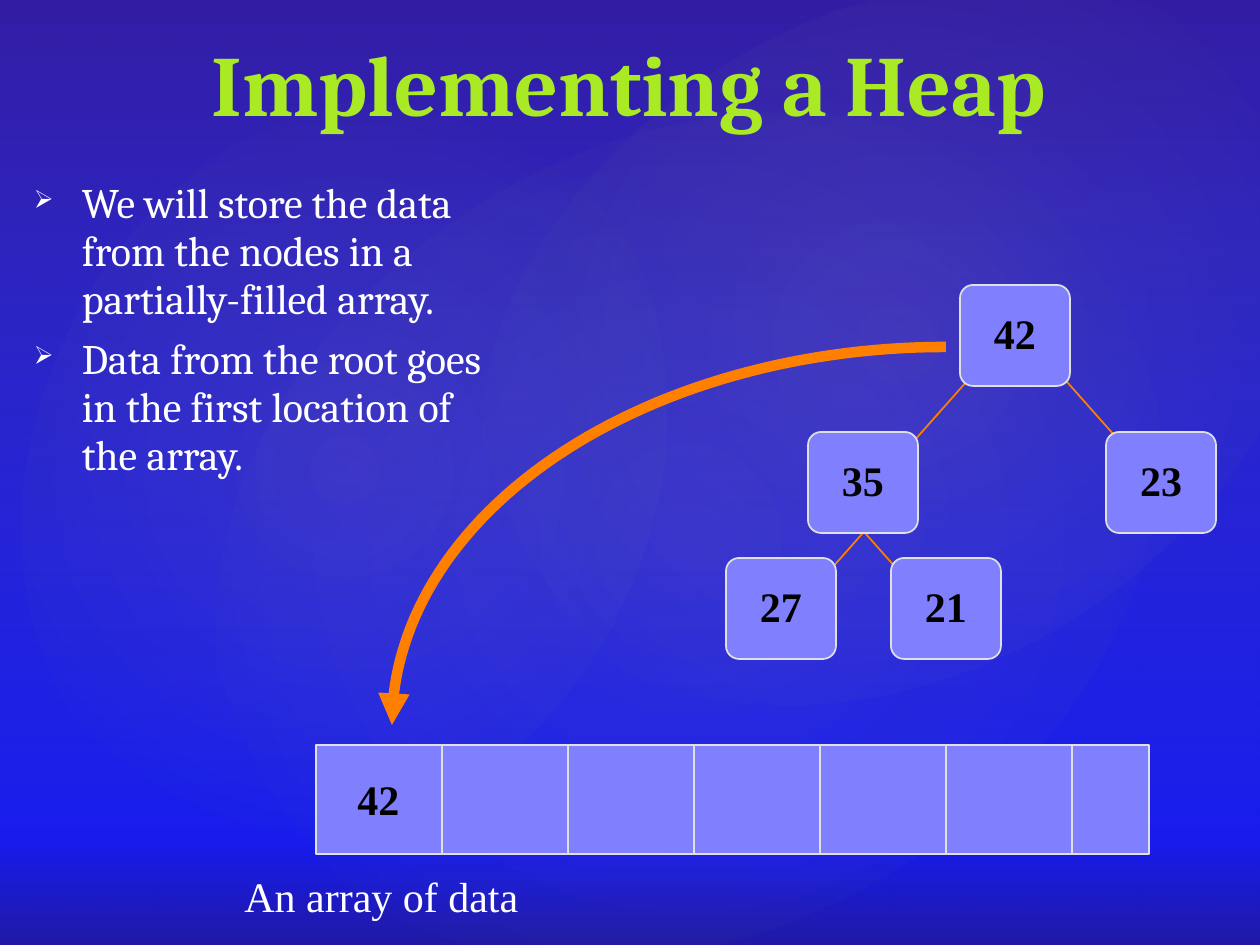
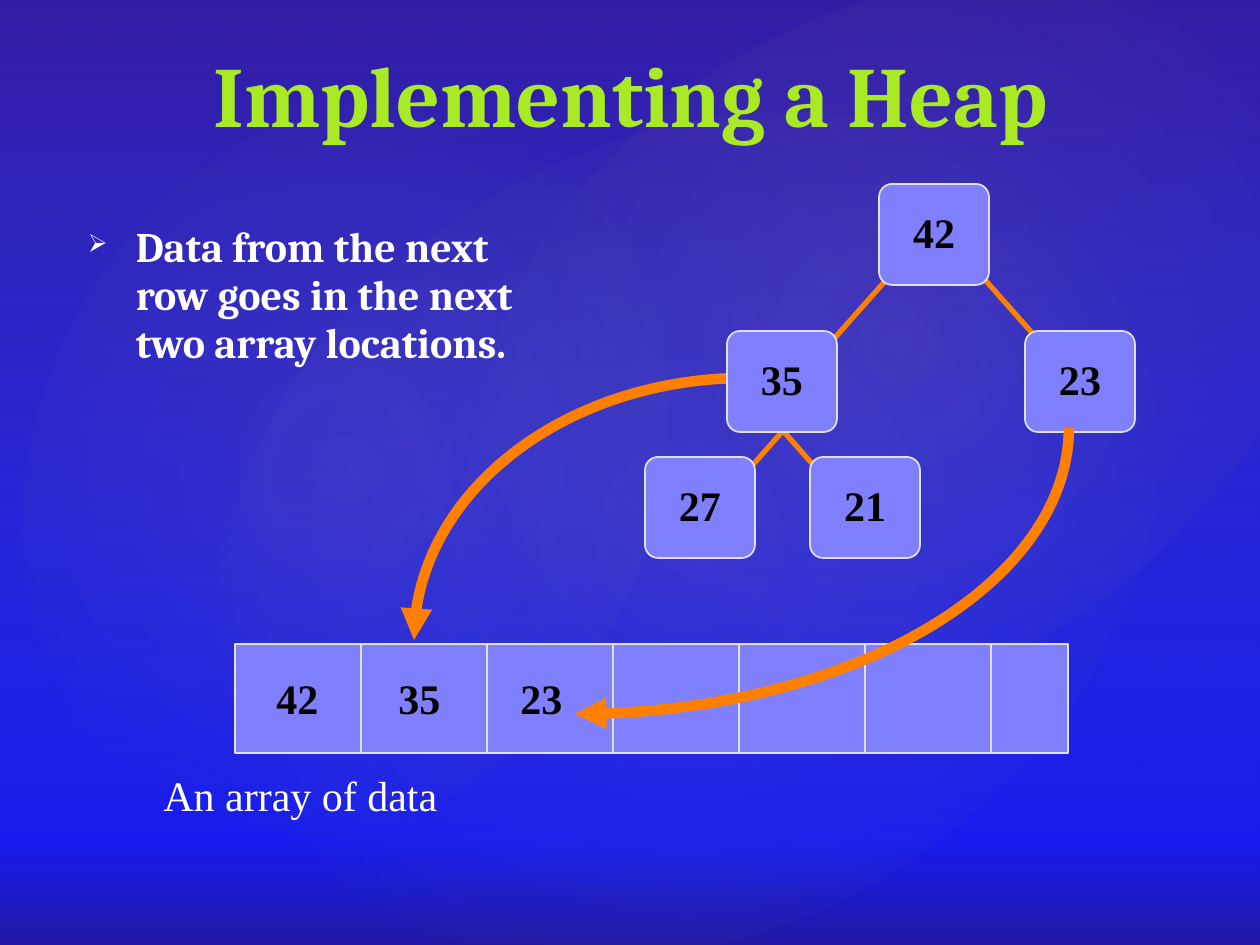
import math

from lxml import etree
from pptx import Presentation
from pptx import util as u
from pptx.dml.color import RGBColor
from pptx.enum import shapes, text
from pptx.oxml.ns import qn

PX = 914400 / 126  # EMU per pixel
BLUE, NAVY = RGBColor(0x00, 0x00, 0xFF), RGBColor(0x0E, 0x02, 0xAA)
BROWN, PALE_LIME = RGBColor(0x8F, 0x52, 0x01), RGBColor(0xCA, 0xF2, 0x78)
PEACH = RGBColor(0xFE, 0xC6, 0x7A)
LIME, WHITE, BLACK = RGBColor(0xAA, 0xEA, 0x25), RGBColor(255, 255, 255), RGBColor(0, 0, 0)
LILAC, GREY, ORANGE = RGBColor(0x80, 0x80, 0xFF), RGBColor(0xE0, 0xE0, 0xE0), RGBColor(0xFF, 0x80, 0x00)
HEAD_FONT, DATA_FONT = "Cambria", "Times New Roman"

# The heap diagram, relative to its own left top corner
NODE_W, NODE_H = 110, 101
NODES = {"42": (728, 0), "35": (576, 147), "23": (874, 147), "27": (494, 273), "21": (659, 273)}
EDGE_DX, EDGE_DY = 78, 88
# parent, start inside the parent, direction
EDGES = [("42", 8, 95, -1), ("42", 100, 89, 1), ("35", 78, 75, -1), ("35", 34, 75, 1)]
ARRAY_X, ARRAY_Y, ARRAY_W, ARRAY_H, CELL = 84, 460, 833, 109, 126


def px(*lengths):
    return [u.Emu(round(v * PX)) for v in lengths]


def sub(parent, tag, **attrs):
    return etree.SubElement(parent, qn(tag), {k: str(v) for k, v in attrs.items()})


def set_gradient(owner, fill, stops, circle=False):
    """Stops are (position, colour, opacity), the last two in percent terms."""
    fill.gradient()
    grad = owner.element.find(".//" + qn("a:gradFill"))
    for child in list(grad):
        grad.remove(child)
    gs_list = sub(grad, "a:gsLst")
    for pos, color, opacity in stops:
        gs = sub(gs_list, "a:gs", pos=pos * 1000)
        sub(sub(gs, "a:srgbClr", val=color), "a:alpha", val=opacity * 1000)
    if circle:
        path = sub(grad, "a:path", path="circle")
        sub(path, "a:fillToRect", l=50000, t=50000, r=50000, b=50000)
    else:
        sub(grad, "a:lin", ang=5400000, scaled=0)


def add_box(slide, kind, x, y, w, h):
    sp = slide.shapes.add_shape(kind, *px(x, y, w, h))
    sp.shadow.inherit = False
    return sp


def style_block(sp):
    sp.fill.solid()
    sp.fill.fore_color.rgb = LILAC
    sp.line.color.rgb = GREY
    sp.line.width = u.Pt(1)


def add_line(slide, x1, y1, x2, y2, color, width):
    c = slide.shapes.add_connector(shapes.MSO_CONNECTOR.STRAIGHT, *px(x1, y1, x2, y2))
    c.line.color.rgb = color
    c.line.width = u.Pt(width)
    sub(c.element.spPr, "a:effectLst")


def write(tf, paragraphs, font, size, color, bold=False, align=text.PP_ALIGN.LEFT):
    tf.text = "\n".join(paragraphs)
    for p in tf.paragraphs:
        p.alignment = align
        p.line_spacing = 0.95
        for r in p.runs:
            r.font.name, r.font.size, r.font.bold = font, u.Pt(size), bold
            r.font.color.rgb = color


def add_text(slide, box, paragraphs, font, size, color, wrap=True,
             anchor=text.MSO_ANCHOR.TOP, **style):
    tf = slide.shapes.add_textbox(*px(*box)).text_frame
    tf.word_wrap = wrap
    tf.vertical_anchor = anchor
    write(tf, paragraphs, font, size, color, **style)
    return tf


def add_glow(slide):
    # Full-slide tint, then three faint discs
    tint = add_box(slide, shapes.MSO_SHAPE.RECTANGLE, 0, 0, 1260, 945)
    set_gradient(tint, tint.fill, [(0, BROWN, 36), (100, PALE_LIME, 10)])
    tint.line.fill.background()
    for x, y, w, h, angle, opacity in [(189, 144, 998, 786, 328.7, 7),
                                       (-38, 161, 764, 617, 294.3, 8),
                                       (451, 16, 893, 655, 328.7, 8)]:
        disc = add_box(slide, shapes.MSO_SHAPE.OVAL, x, y, w, h)
        disc.rotation = angle
        set_gradient(disc, disc.fill, [(0, PEACH, opacity), (58, PALE_LIME, 0)], circle=True)
        disc.line.fill.background()


def add_title(slide, box):
    add_text(slide, box, ["Implementing a Heap"], HEAD_FONT, 49, LIME, bold=True,
             anchor=text.MSO_ANCHOR.BOTTOM, align=text.PP_ALIGN.CENTER)


def add_bullets(slide, box, items, bold=False):
    tf = add_text(slide, box, items, HEAD_FONT, 24, WHITE, bold=bold,
                  anchor=text.MSO_ANCHOR.MIDDLE)
    for p in tf.paragraphs:
        p.space_before = u.Pt(7)
        pPr = p._p.get_or_add_pPr()
        pPr.set("marL", str(u.Inches(0.4)))
        pPr.set("indent", str(-u.Inches(0.38)))
        sub(pPr, "a:buSzPct", val=60000)
        sub(pPr, "a:buChar", char="➢")


def add_tree(slide, x, y, edge_width):
    for parent, dx, dy, side in EDGES:
        x1, y1 = x + NODES[parent][0] + dx, y + NODES[parent][1] + dy
        add_line(slide, x1, y1, x1 + side * EDGE_DX, y1 + EDGE_DY, ORANGE, edge_width)
    for value, (dx, dy) in NODES.items():
        sp = add_box(slide, shapes.MSO_SHAPE.ROUNDED_RECTANGLE, x + dx, y + dy, NODE_W, NODE_H)
        sp.adjustments[0] = 0.13
        style_block(sp)
        sp.text_frame.vertical_anchor = text.MSO_ANCHOR.MIDDLE
        write(sp.text_frame, [value], DATA_FONT, 24, BLACK, bold=True,
              align=text.PP_ALIGN.CENTER)


def add_array(slide, x, y, values):
    style_block(add_box(slide, shapes.MSO_SHAPE.RECTANGLE, x, y, ARRAY_W, ARRAY_H))
    for cell_x in range(x + CELL, x + ARRAY_W, CELL):
        add_line(slide, cell_x, y, cell_x, y + ARRAY_H, GREY, 1)
    for i, value in enumerate(values):
        add_text(slide, (x + 29 + 122 * i, y + 26, 67, 63), [value], DATA_FONT, 24, BLACK,
                 wrap=False, bold=True)


def add_heap(slide, x, y, values, edge_width):
    add_array(slide, x + ARRAY_X, y + ARRAY_Y, values)
    add_text(slide, (x, y + 583, 301, 59), ["An array of data"], DATA_FONT, 24, WHITE, wrap=False)
    add_tree(slide, x, y, edge_width)


def add_arc_arrow(slide, cx, cy, rx, ry, start, end, steps=60):
    """Arc of an ellipse; angles in degrees, clockwise from the right."""
    angles = [math.radians(start + (end - start) * i / steps) for i in range(steps + 1)]
    points = [px(cx + rx * math.cos(a), cy + ry * math.sin(a)) for a in angles]
    builder = slide.shapes.build_freeform(*points[0])
    builder.add_line_segments(points[1:], close=False)
    sp = builder.convert_to_shape()
    sp.shadow.inherit = False
    sp.fill.background()
    sp.line.color.rgb = ORANGE
    sp.line.width = u.Pt(6)
    sub(sp.line._get_or_add_ln(), "a:tailEnd", type="triangle")


def new_slide(prs):
    slide = prs.slides.add_slide(prs.slide_layouts[6])
    add_glow(slide)
    return slide


def root_slide(prs):
    slide = new_slide(prs)
    add_arc_arrow(slide, 946, 725, 554, 378, 270, 180)
    add_title(slide, (93, 21, 1071, 121))
    add_bullets(slide, (19, 155, 495, 350), [
        "We will store the data from the nodes in a partially-filled array.",
        "Data from the root goes in the first location of the array."])
    add_heap(slide, 232, 285, ["42"], edge_width=1)


def next_row_slide(prs):
    slide = new_slide(prs)
    add_arc_arrow(slide, 746, 640, 332, 262, 270, 180)
    add_title(slide, (95, 42, 1071, 111))
    add_bullets(slide, (73, 156, 469, 280), [
        "Data from the next row goes in the next two array locations."], bold=True)
    add_heap(slide, 151, 184, ["42", "35", "23"], edge_width=3)
    add_arc_arrow(slide, 575, 428, 494, 286, 0, 90)


prs = Presentation()
prs.slide_width, prs.slide_height = px(1260, 945)
set_gradient(prs.slide_master, prs.slide_master.background.fill,
             [(0, BLUE, 100), (89, BLUE, 100), (100, NAVY, 100)])
root_slide(prs)
next_row_slide(prs)
prs.save("out.pptx")
